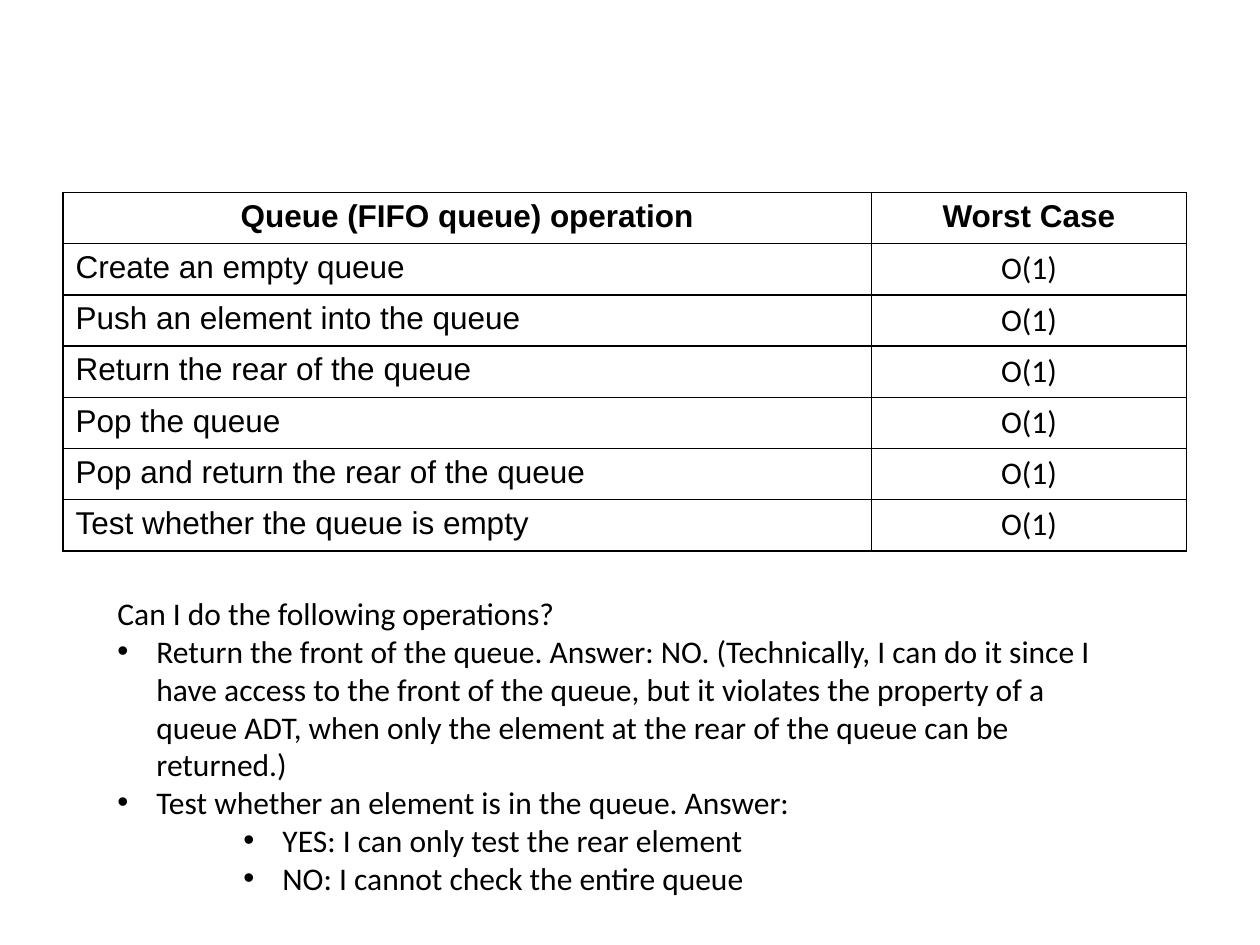
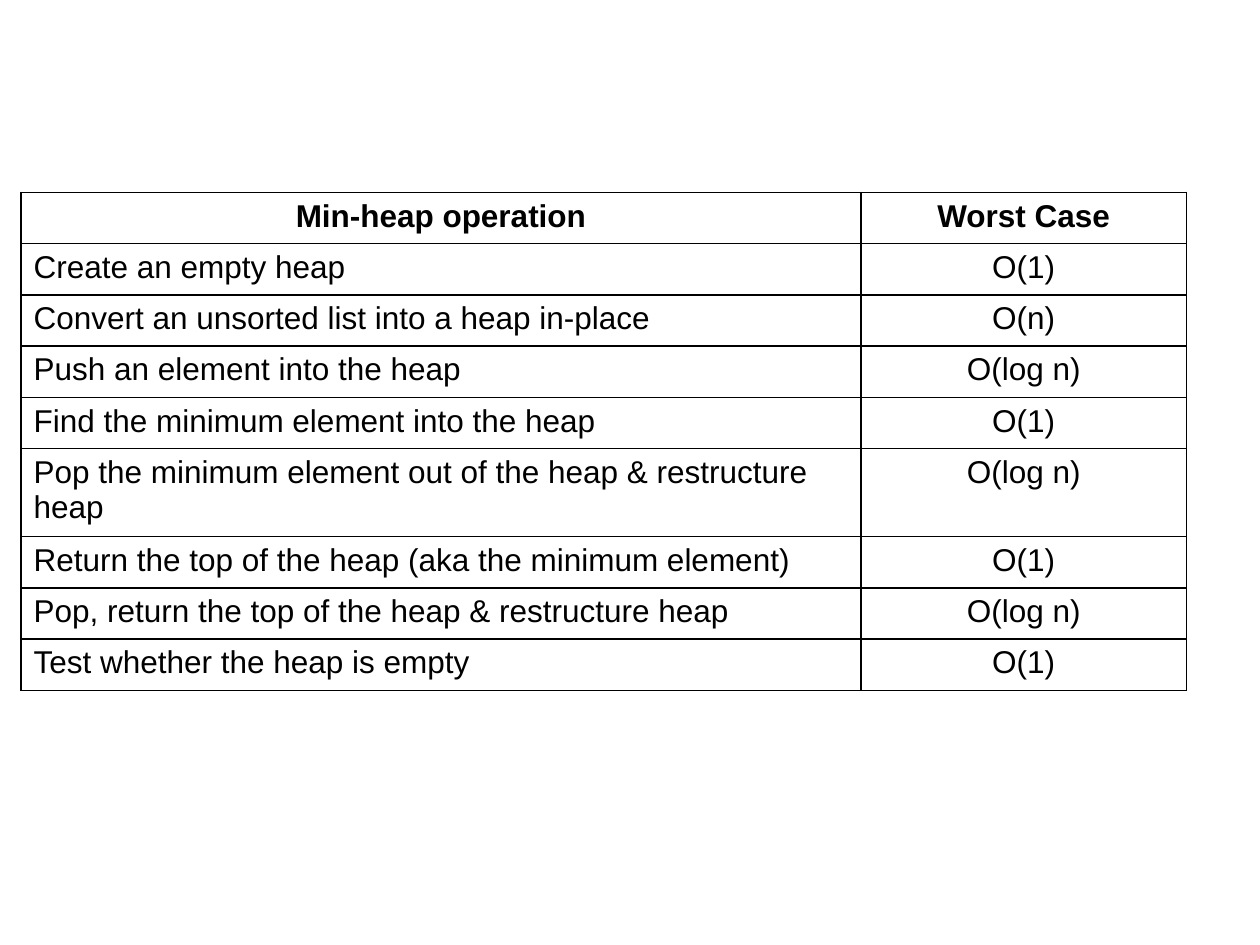
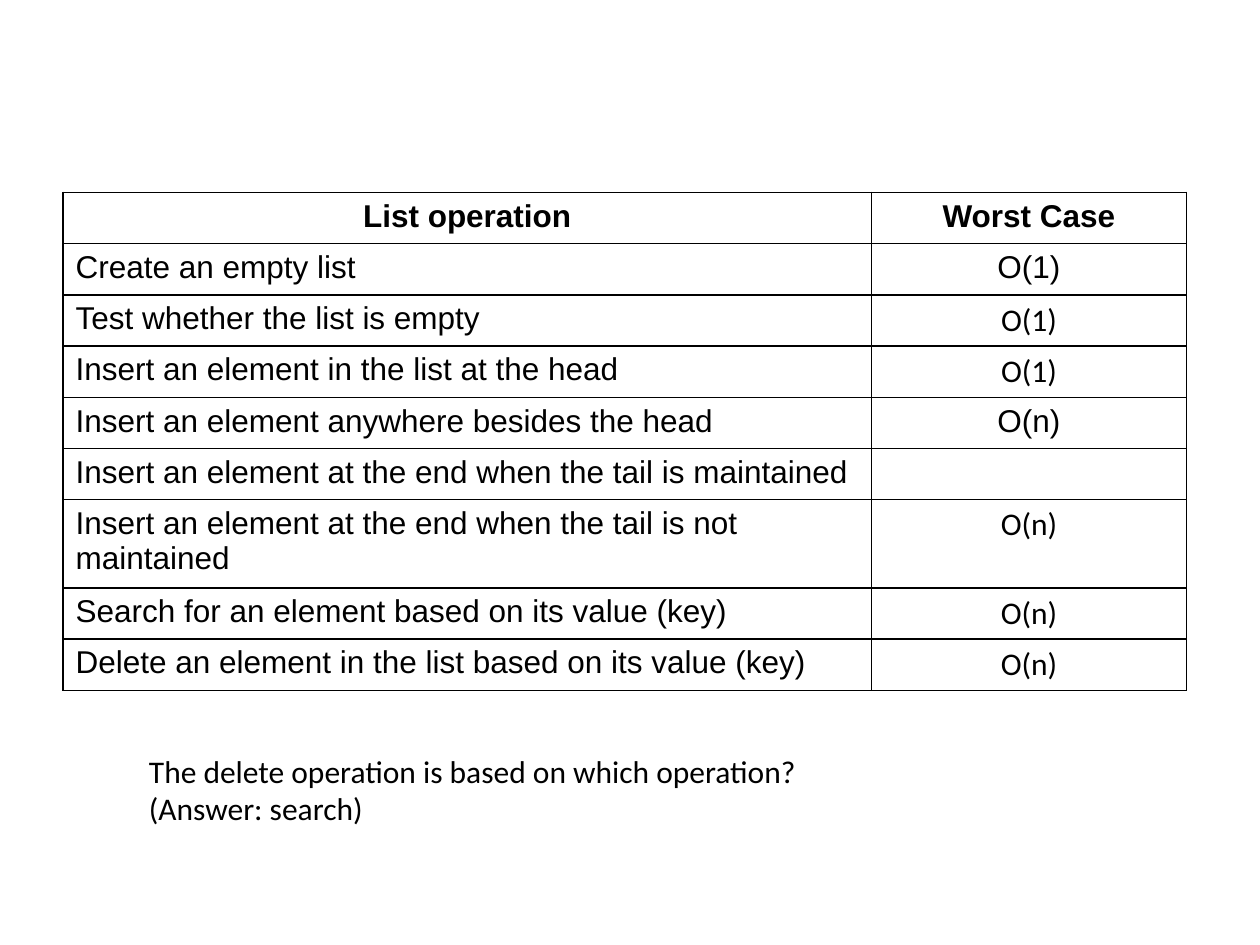
import pptx
import pptx.dml.color
import pptx.enum.text
import pptx.oxml
import pptx.oxml.ns
import pptx.util

COLORS = {"paper": "FFFFFF", "ink": "000000"}
FONTS = {"table": "Arial", "body": "Calibri"}
TEXT_SIZE = pptx.util.Pt(18)
CELL = pptx.util.Inches(1) / 12
SLIDE_COLUMNS, SLIDE_ROWS = 120, 90
TABLE_TOP, TABLE_ROW = 18.33, 4.88
TABLE_RIGHT = 113
BULLET_INDENT = pptx.util.Inches(0.31)
LEVEL_INDENT = pptx.util.Inches(0.5)
CENTER = pptx.enum.text.PP_ALIGN.CENTER
LEFT = pptx.enum.text.PP_ALIGN.LEFT

QUEUE_ROWS = [
    ("Create an empty queue", "O(1)", "body"),
    ("Push an element into the queue", "O(1)", "body"),
    ("Return the rear of the queue", "O(1)", "body"),
    ("Pop the queue", "O(1)", "body"),
    ("Pop and return the rear of the queue", "O(1)", "body"),
    ("Test whether the queue is empty", "O(1)", "body"),
]
HEAP_ROWS = [
    ("Create an empty heap", "O(1)", "table"),
    ("Convert an unsorted list into a heap in-place", "O(n)", "table"),
    ("Push an element into the heap", "O(log n)", "table"),
    ("Find the minimum element into the heap", "O(1)", "table"),
    ("Pop the minimum element out of the heap & restructure heap", "O(log n)", "table"),
    ("Return the top of the heap (aka the minimum element)", "O(1)", "table"),
    ("Pop, return the top of the heap & restructure heap", "O(log n)", "table"),
    ("Test whether the heap is empty", "O(1)", "table"),
]
LIST_ROWS = [
    ("Create an empty list", "O(1)", "table"),
    ("Test whether the list is empty", "O(1)", "body"),
    ("Insert an element in the list at the head", "O(1)", "body"),
    ("Insert an element anywhere besides the head", "O(n)", "table"),
    ("Insert an element at the end when the tail is maintained", "", "table"),
    ("Insert an element at the end when the tail is not maintained", "O(n)", "body"),
    ("Search for an element based on its value (key)", "O(n)", "body"),
    ("Delete an element in the list based on its value (key)", "O(n)", "body"),
]
QUEUE_QUESTIONS = [
    ("Can I do the following operations?", None),
    ("Return the front of the queue. Answer: NO. (Technically, I can do it since I "
     "have access to the front of the queue, but it violates the property of a queue "
     "ADT, when only the element at the rear of the queue can be returned.)", 0),
    ("Test whether an element is in the queue. Answer:", 0),
    ("YES: I can only test the rear element", 2),
    ("NO: I cannot check the entire queue", 2),
]
LIST_QUESTION = [
    ("The delete operation is based on which operation? (Answer: search)", None),
]


def grid(count):
    return pptx.util.Emu(round(count * CELL))


def color(name):
    return pptx.dml.color.RGBColor.from_string(COLORS[name])


def apply(target, values):
    for name, value in values.items():
        setattr(target, name, value)


def xml(markup):
    return pptx.oxml.parse_xml(
        markup.replace("/>", f" {pptx.oxml.ns.nsdecls('a')}/>", 1)
        if markup.endswith("/>") and markup.count("<") == 1
        else markup.replace(">", f" {pptx.oxml.ns.nsdecls('a')}>", 1))


def write(paragraph, text, font="body", bold=False, alignment=LEFT):
    paragraph.alignment = alignment
    if text:
        run = paragraph.add_run()
        run.text = text
        apply(run.font, {"name": FONTS[font], "size": TEXT_SIZE, "bold": bold})
        run.font.color.rgb = color("ink")


def add_bullet(paragraph, level):
    paragraph.level = 1 if level else 0
    properties = paragraph._p.get_or_add_pPr()
    properties.set("marL", str(BULLET_INDENT + level * LEVEL_INDENT))
    properties.set("indent", str(-BULLET_INDENT))
    for markup in ('<a:buFont typeface="Arial"/>', '<a:buChar char="•"/>'):
        properties.append(xml(markup))


def format_cell(cell):
    properties = cell._tc.get_or_add_tcPr()
    for side in "LRTB":
        properties.append(xml(
            f'<a:ln{side} w="{pptx.util.Pt(1)}"><a:solidFill>'
            f'<a:srgbClr val="{COLORS["ink"]}"/></a:solidFill></a:ln{side}>'))
    cell.fill.background()


def add_cost_table(slide, heading, rows, left, cost_width):
    widths = (TABLE_RIGHT - left - cost_width, cost_width)
    count = len(rows) + 1
    table = slide.shapes.add_table(
        count, len(widths), grid(left), grid(TABLE_TOP),
        grid(sum(widths)), grid(TABLE_ROW * count)).table
    apply(table, {"first_row": False, "horz_banding": False})
    for column, width in zip(table.columns, widths):
        column.width = grid(width)
    for row in table.rows:
        row.height = grid(TABLE_ROW)
    for cell in table.iter_cells():
        format_cell(cell)
    for index, text in enumerate((heading, "Worst Case")):
        write(table.cell(0, index).text_frame.paragraphs[0], text, "table", True, CENTER)
    for index, (operation, cost, cost_font) in enumerate(rows, 1):
        write(table.cell(index, 0).text_frame.paragraphs[0], operation, "table")
        write(table.cell(index, 1).text_frame.paragraphs[0], cost, cost_font, alignment=CENTER)


def add_questions(slide, lines, left, top, width, height):
    frame = slide.shapes.add_textbox(*map(grid, (left, top, width, height))).text_frame
    apply(frame, {"word_wrap": True,
                  "auto_size": pptx.enum.text.MSO_AUTO_SIZE.SHAPE_TO_FIT_TEXT})
    for index, (text, level) in enumerate(lines):
        paragraph = frame.add_paragraph() if index else frame.paragraphs[0]
        write(paragraph, text)
        if level is not None:
            add_bullet(paragraph, level)


def add_slide(presentation):
    slide = presentation.slides.add_slide(presentation.slide_layouts.get_by_name("Blank"))
    slide.background.fill.solid()
    slide.background.fill.fore_color.rgb = color("paper")
    return slide


def main():
    presentation = pptx.Presentation()
    apply(presentation, {"slide_width": grid(SLIDE_COLUMNS), "slide_height": grid(SLIDE_ROWS)})

    queue_slide = add_slide(presentation)
    add_cost_table(queue_slide, "Queue (FIFO queue) operation", QUEUE_ROWS, 6, 30)
    add_questions(queue_slide, QUEUE_QUESTIONS, 10, 56, 99, 30.24)

    heap_slide = add_slide(presentation)
    add_cost_table(heap_slide, "Min-heap operation", HEAP_ROWS, 2, 31)

    list_slide = add_slide(presentation)
    add_cost_table(list_slide, "List operation", LIST_ROWS, 6, 30)
    add_questions(list_slide, LIST_QUESTION, 13, 71, 70, 8.5)

    presentation.save("out.pptx")


if __name__ == "__main__":
    main()
